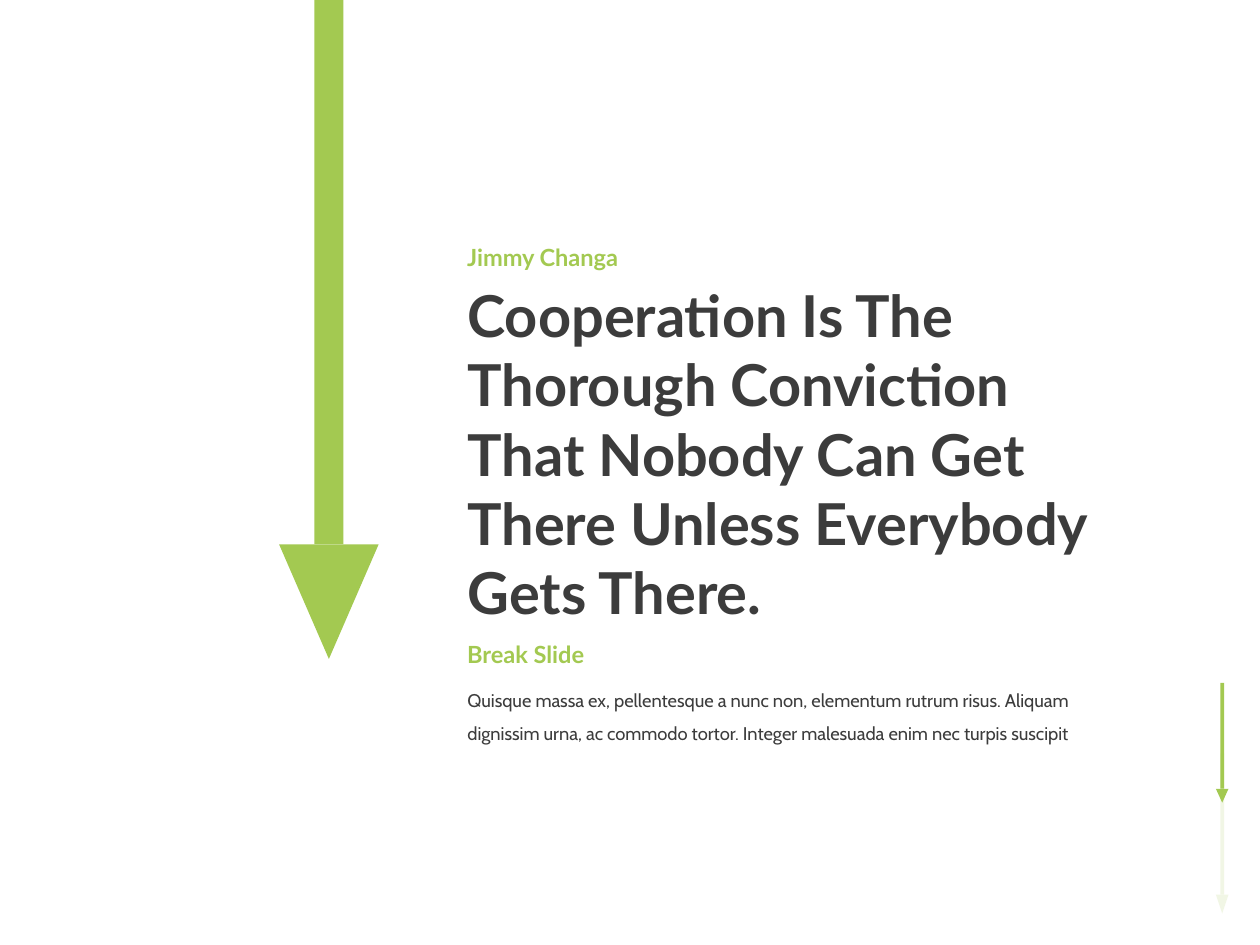
from dataclasses import dataclass

from lxml.etree import SubElement
from pptx import Presentation
from pptx.dml.color import RGBColor as Rgb
from pptx.enum.shapes import MSO_SHAPE as Kind
from pptx.enum.text import MSO_ANCHOR as Anchor, MSO_AUTO_SIZE as Fit, PP_ALIGN as Align
from pptx.oxml.ns import qn
from pptx.util import Inches, Pt


@dataclass(frozen=True)
class Theme:
    green: str = "A3C951"
    ink: str = "3C3C3C"
    white: str = "FFFFFF"
    head: str = "Lato"
    text: str = "Cabin"
    big: float = 33
    mid: float = 13.5
    small: float = 10.5


@dataclass(frozen=True)
class Box:
    """A place on the grid, in cells."""
    left: float
    top: float
    width: float
    height: float

    def emu(self) -> list[int]:
        return [round(n * CELL) for n in (self.left, self.top, self.width, self.height)]


@dataclass(frozen=True)
class Arrow:
    """A downward arrow: the shaft ends at the neck, where the head begins."""
    axis: float
    neck: float
    length: float
    thick: float
    width: float
    height: float


@dataclass(frozen=True)
class Style:
    font: str
    size: float
    color: str
    bold: bool = False
    lead: float = 1.0


WIDTH, HEIGHT = Inches(10), Inches(7.5)
COLS, ROWS = 100, 75
CELL = WIDTH / COLS
MARGIN = 36.1

THEME = Theme()
TITLE = Style(THEME.head, THEME.big, THEME.ink, True)
LABEL = Style(THEME.head, THEME.mid, THEME.green, True)
BODY = Style(THEME.text, THEME.small, THEME.ink, lead=1.5)

FAINT = Arrow(97, 71, 11.2, 0.3, 1, 1.5)
NEXT = Arrow(97, 62.6, 8.4, 0.3, 1, 1.1)
MAIN = Arrow(26.1, 43.2, 45, 2.3, 7.9, 9.1)
VEIL = Box(14.7, 0, COLS - 14.7, ROWS)

LINES = (
    "Cooperation Is The",
    "Thorough Conviction",
    "That Nobody Can Get",
    "There Unless Everybody",
    "Gets There.",
)
PROSE = (
    "Quisque massa ex, pellentesque a nunc non, elementum rutrum risus. "
    "Aliquam dignissim urna, ac commodo tortor. "
    "Integer malesuada enim nec turpis suscipit"
)


def add_shape(shapes, kind: Kind, box: Box, color: str, turn: float = 0):
    shape = shapes.add_shape(kind, *box.emu())
    shape.rotation = turn
    shape.shadow.inherit = False
    shape.fill.solid()
    shape.fill.fore_color.rgb = Rgb.from_string(color)
    shape.line.fill.background()
    return shape


def add_arrow(shapes, arrow: Arrow) -> None:
    parts = shapes.add_group_shape().shapes
    shaft = Box(arrow.axis - arrow.length / 2,
                arrow.neck - (arrow.length + arrow.thick) / 2,
                arrow.length, arrow.thick)
    head = Box(arrow.axis - arrow.width / 2, arrow.neck, arrow.width, arrow.height)
    add_shape(parts, Kind.RECTANGLE, shaft, THEME.green, 90)
    add_shape(parts, Kind.ISOSCELES_TRIANGLE, head, THEME.green, 180)


def add_veil(shapes) -> None:
    """Fade what lies behind with a white panel, 85% opaque."""
    veil = add_shape(shapes, Kind.RECTANGLE, VEIL, THEME.white)
    color = veil.element.spPr.find(qn("a:solidFill"))[0]
    SubElement(color, qn("a:alpha"), val="85000")


def write(shape, box: Box, lines: tuple[str, ...], style: Style) -> None:
    shape.left, shape.top, shape.width, shape.height = box.emu()
    frame = shape.text_frame
    frame.text = "\n".join(lines)
    frame_look = {"word_wrap": True, "auto_size": Fit.SHAPE_TO_FIT_TEXT,
                  "vertical_anchor": Anchor.TOP}
    para_look = {"alignment": Align.LEFT, "line_spacing": style.lead,
                 "space_before": Pt(0), "space_after": Pt(0)}
    font_look = {"name": style.font, "size": Pt(style.size), "bold": style.bold}
    for name, value in frame_look.items():
        setattr(frame, name, value)
    for para in frame.paragraphs:
        props = para._p.get_or_add_pPr()
        props.set("marL", "0")
        props.set("indent", "0")
        SubElement(props, qn("a:buNone"))
        for name, value in para_look.items():
            setattr(para, name, value)
        for run in para.runs:
            for name, value in font_look.items():
                setattr(run.font, name, value)
            run.font.color.rgb = Rgb.from_string(style.color)


def main() -> None:
    deck = Presentation()
    deck.slide_width, deck.slide_height = WIDTH, HEIGHT
    slide = deck.slides.add_slide(deck.slide_layouts[1])
    shapes = slide.shapes
    title, body = shapes.title, slide.placeholders[1]

    add_arrow(shapes, FAINT)
    add_veil(shapes)
    add_arrow(shapes, NEXT)
    add_arrow(shapes, MAIN)

    for holder in (title, body):  # bring the text in front of the veil
        shapes.element.append(holder.element)
    write(title, Box(MARGIN, 21.7, 57.9, 28.8), LINES, TITLE)
    write(body, Box(MARGIN, 53.3, 54.1, 6), (PROSE,), BODY)
    for text, top, width in (("Jimmy Changa", 18.8, 18.1), ("Break Slide", 50.3, 16.7)):
        box = Box(MARGIN, top, width, 3.3)
        write(shapes.add_textbox(*box.emu()), box, (text,), LABEL)

    deck.save("out.pptx")


if __name__ == "__main__":
    main()
